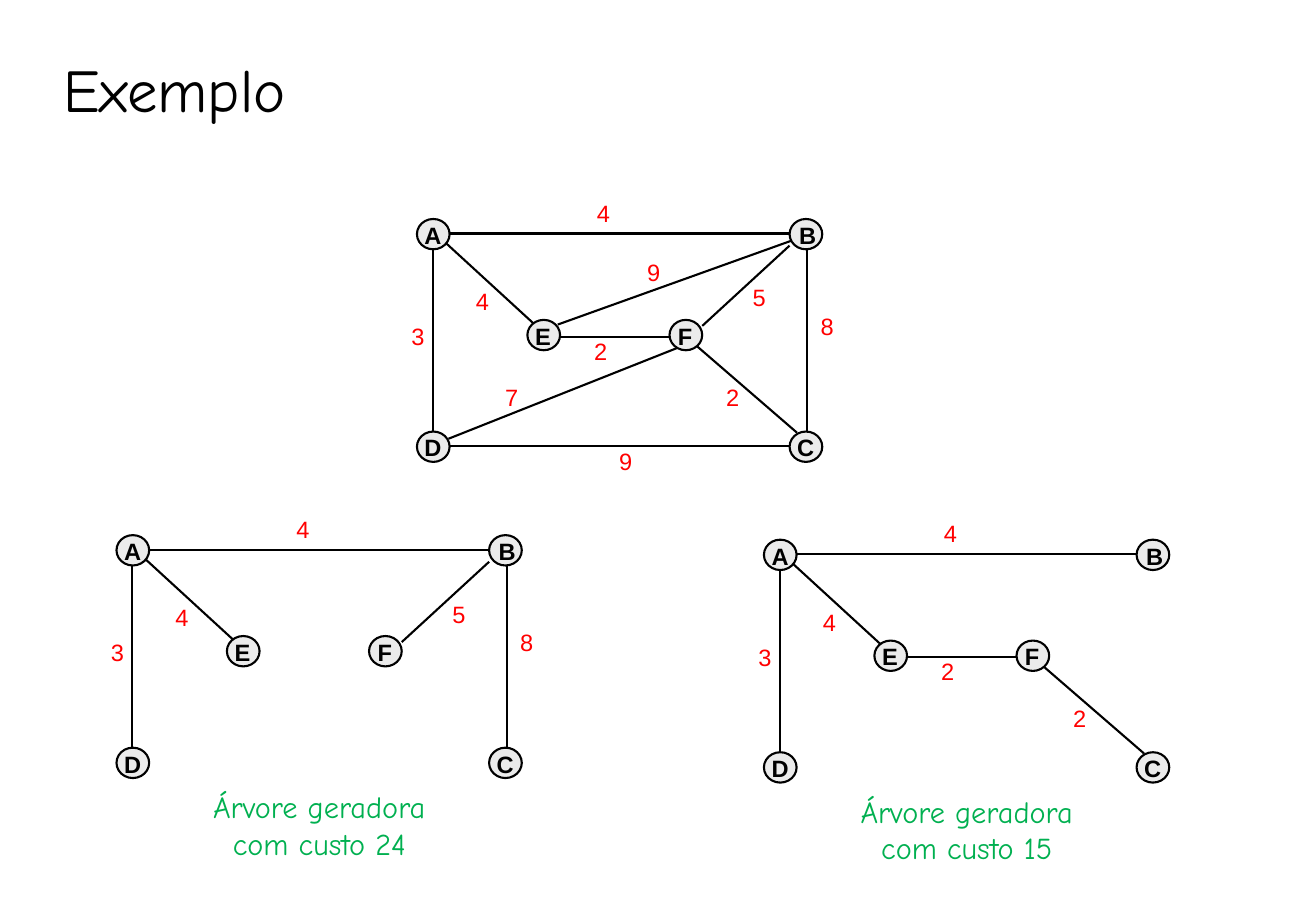
from dataclasses import dataclass

from lxml.etree import SubElement
from pptx import Presentation
from pptx.dml.color import RGBColor as Color
from pptx.enum.shapes import MSO_CONNECTOR as Link, MSO_SHAPE as Shape
from pptx.enum.text import MSO_ANCHOR as Anchor, MSO_AUTO_SIZE as Fit, PP_ALIGN as Align
from pptx.oxml.ns import qn
from pptx.util import Pt


@dataclass(frozen=True)
class Theme:
    """Colours, fonts and sizes of the slide."""
    ink: str = "000000"
    disc: str = "EBEBEB"
    cost: str = "FF0000"
    note: str = "00B050"
    hand: str = "Comic Neue"
    sans: str = "Arial"
    head: int = 36
    body: int = 18
    small: int = 14
    line: float = 1.25


THEME = Theme()
DISC = (19.4, 18)
MARK = (23.8, 24.5)
COST = (38.9, 24.5)
NOTE = (195.1, 50.4)

NODES = {
    "D": (0, 126), "A": (0, 0), "E": (65.5, 59.8),
    "B": (221, 0), "C": (221, 126), "F": (149.8, 59.8),
}
NUDGE = {"B": -1.4}

EDGES = {
    "AD": ((9.4, 18), (9.4, 126), 3, (-18.9, 57.6)),
    "AB": ((19.4, 8.6), (221, 8.6), 4, (91.2, -15.6)),
    "BC": ((231.5, 18), (231.5, 126), 8, (223.9, 51.4)),
    "DC": ((19.4, 134.6), (221, 134.6), 9, (104.4, 131.8)),
    "AE": ((17.3, 14.4), (69.1, 61.9), 4, (19.4, 36.9)),
    "FC": ((166.3, 75.6), (225.4, 126.7), 2, (167.8, 93.8)),
    "BF": ((221, 15.8), (169.2, 63.4), 5, (183.6, 34.6)),
    "EF": ((84.6, 69.8), (149.8, 69.8), 2, (89.6, 66.2)),
    "EB": ((83.5, 62.6), (221.8, 13), 9, (121, 19.4)),
    "FD": ((154.8, 76.3), (18.7, 130.3), 7, (36.7, 93.8)),
}


def shift(spot, by):
    """Move a point by an offset."""
    return spot[0] + by[0], spot[1] + by[1]


def write(shapes, spot, size, text, font, points, tint, bold=None,
          align=Align.CENTER, space=None):
    """Add a text box in one style and return its frame."""
    box = shapes.add_textbox(*map(Pt, spot + size))
    frame = box.text_frame
    frame.text = text
    frame.word_wrap = True
    frame.auto_size = Fit.SHAPE_TO_FIT_TEXT
    for para in frame.paragraphs:
        para.alignment = align
        para.space_before = space
        for run in para.runs:
            run.font.name = font
            run.font.size = Pt(points)
            run.font.bold = bold
            run.font.color.rgb = Color.from_string(tint)
    return frame


def stroke(line):
    """Give a line the ink and width of the theme."""
    line.color.rgb = Color.from_string(THEME.ink)
    line.width = Pt(THEME.line)


def join(shapes, start, end):
    """Draw one edge."""
    edge = shapes.add_connector(Link.STRAIGHT, *map(Pt, start + end))
    stroke(edge.line)
    SubElement(edge.element.spPr, qn("a:effectLst"))


def node(shapes, spot, name):
    """Draw one disc and its letter."""
    disc = shapes.add_shape(Shape.OVAL, *map(Pt, spot + DISC))
    disc.shadow.inherit = False
    disc.fill.solid()
    disc.fill.fore_color.rgb = Color.from_string(THEME.disc)
    stroke(disc.line)
    write(shapes, shift(spot, (NUDGE.get(name, -2.6), -2.5)), MARK, name,
          THEME.sans, THEME.small, THEME.ink, bold=True, space=Pt(8.8))


def graph(slide, spot, keys, note=None):
    """Draw the chosen edges, all nodes and a note from node A's corner."""
    shapes = slide.shapes.add_group_shape().shapes
    edges = [EDGES[key] for key in keys]
    for start, end, _, _ in edges:
        join(shapes, shift(spot, start), shift(spot, end))
    for name, place in NODES.items():
        node(shapes, shift(spot, place), name)
    for _, _, cost, place in edges:
        write(shapes, shift(spot, place), COST, str(cost),
              THEME.sans, THEME.small, THEME.cost, space=Pt(8.8))
    if note:
        write(slide.shapes, shift(spot, (22.7, 146.6)), NOTE, note,
              THEME.hand, THEME.body, THEME.note)


def title(slide, spot, size, text):
    """Set the slide's title."""
    frame = write(slide.shapes, spot, size, text, THEME.hand, THEME.head,
                  THEME.ink, align=Align.LEFT)
    frame.auto_size = Fit.NONE
    frame.vertical_anchor = Anchor.BOTTOM
    frame.paragraphs[0].line_spacing = 0.9


def main():
    """Build and save the slide."""
    deck = Presentation()
    deck.slide_width, deck.slide_height = Pt(780.48), Pt(540)
    slide = deck.slides.add_slide(deck.slide_layouts[6])
    title(slide, (30.4, 18.4), (702, 59.8), "Exemplo")
    graph(slide, (69.1, 317.2), ("AD", "AB", "BC", "AE", "BF"),
          "Árvore geradora\ncom custo 24")
    graph(slide, (453.1, 319.9), ("AD", "AB", "AE", "FC", "EF"),
          "Árvore geradora\ncom custo 15")
    graph(slide, (247.3, 129.8), EDGES)
    deck.save("out.pptx")


if __name__ == "__main__":
    main()
